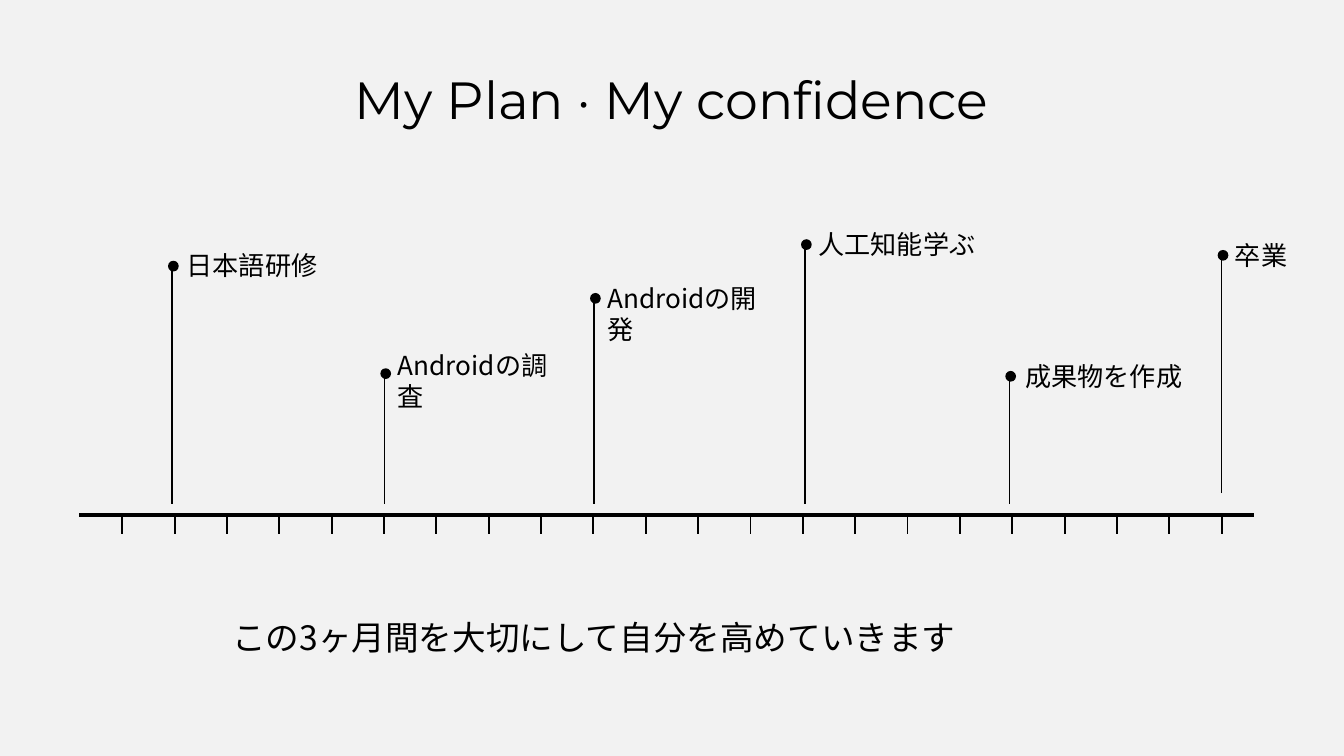
from dataclasses import dataclass

from pptx import Presentation
from pptx.dml.color import RGBColor
from pptx.enum.shapes import MSO_CONNECTOR, MSO_SHAPE
from pptx.enum.text import MSO_AUTO_SIZE as AUTO, PP_ALIGN as ALIGN
from pptx.oxml.ns import qn
from pptx.util import Inches, Pt
from lxml.etree import SubElement


@dataclass(frozen=True)
class Theme:
    background: RGBColor = RGBColor(0xF2, 0xF2, 0xF2)
    ink: RGBColor = RGBColor(0, 0, 0)
    latin: str = "Montserrat"
    japanese: str = "Noto Sans CJK JP"
    title: int = 28
    closing: int = 18
    label: int = 14
    axis: float = 2.25
    tick: float = 1
    stem: float = 0.75


THEME = Theme()

SLIDE_W = Inches(10)
SLIDE_H = SLIDE_W * 9 // 16  # widescreen

AXIS_Y = 3.83
TICK_TOP, TICK_BOTTOM = 3.85, 3.97
FIRST_TICK, LAST_TICK, TICKS = 0.91, 9.09, 22
DOT = 0.08
LABEL_H = 0.34

# Stem x, stem bottom, stem top, label, label left, label top, label width
MILESTONES = [
    (1.28, 3.75, 2.00, "日本語研修", 1.29, 1.81, 1.43),
    (2.86, 3.75, 2.80, "Androidの調査", 2.86, 2.55, 1.49),
    (4.42, 3.75, 2.24, "Androidの開発", 4.42, 2.05, 1.49),
    (5.99, 3.75, 1.84, "人工知能学ぶ", 5.99, 1.65, 1.38),
    (7.51, 3.75, 2.82, "成果物を作成", 7.53, 2.63, 1.54),
    (9.09, 3.67, 1.92, "卒業", 9.09, 1.73, 1.43),
]


def apply_format(target, values):
    for name, value in values.items():
        setattr(target, name, value)


def add_text(s, text, box, size, font, align=ALIGN.LEFT):
    tf = s.shapes.add_textbox(*map(Inches, box)).text_frame
    apply_format(tf, {"word_wrap": True, "auto_size": AUTO.SHAPE_TO_FIT_TEXT})
    p = tf.paragraphs[0]
    p.alignment = align
    r = p.add_run()
    r.text = text
    apply_format(r.font, {"size": Pt(size), "name": font})
    r.font.color.rgb = THEME.ink
    # East Asian glyphs take their typeface from a:ea
    SubElement(r.font._element, qn("a:ea")).set("typeface", font)


def add_line(shapes, start, end, width):
    line = shapes.add_connector(MSO_CONNECTOR.STRAIGHT, *map(Inches, start + end))
    line.line.color.rgb = THEME.ink
    line.line.width = Pt(width)
    SubElement(line._element.spPr, qn("a:effectLst"))


def add_dot(shapes, left, top):
    sp = shapes.add_shape(MSO_SHAPE.OVAL, *map(Inches, (left, top, DOT, DOT)))
    sp.shadow.inherit = False
    sp.fill.solid()
    sp.fill.fore_color.rgb = THEME.ink
    sp.line.fill.background()


def add_axis(s):
    add_line(s.shapes, (0.59, AXIS_Y), (9.33, AXIS_Y), THEME.axis)
    step = (LAST_TICK - FIRST_TICK) / (TICKS - 1)
    for i in range(TICKS):
        x = FIRST_TICK + i * step
        add_line(s.shapes, (x, TICK_TOP), (x, TICK_BOTTOM), THEME.tick)


def add_milestone(s, x, bottom, top, text, left, label_top, width):
    pin = s.shapes.add_group_shape().shapes
    add_line(pin, (x, bottom), (x, top), THEME.stem)
    add_dot(pin, x - 0.03, top - 0.06)
    add_text(s, text, (left, label_top, width, LABEL_H), THEME.label, THEME.japanese)


def main():
    prs = Presentation()
    apply_format(prs, {"slide_width": SLIDE_W, "slide_height": SLIDE_H})
    s = prs.slides.add_slide(prs.slide_layouts[6])
    s.background.fill.solid()
    s.background.fill.fore_color.rgb = THEME.background

    # Title
    add_text(s, "My Plan · My confidence", (1.59, 0.45, 6.81, 0.57),
             THEME.title, THEME.latin, ALIGN.CENTER)

    # Timeline
    add_axis(s)
    for milestone in MILESTONES:
        add_milestone(s, *milestone)

    # Closing statement
    add_text(s, "この3ヶ月間を大切にして自分を高めていきます", (1.63, 4.54, 6.77, 0.4),
             THEME.closing, THEME.japanese)

    prs.save("out.pptx")


if __name__ == "__main__":
    main()
